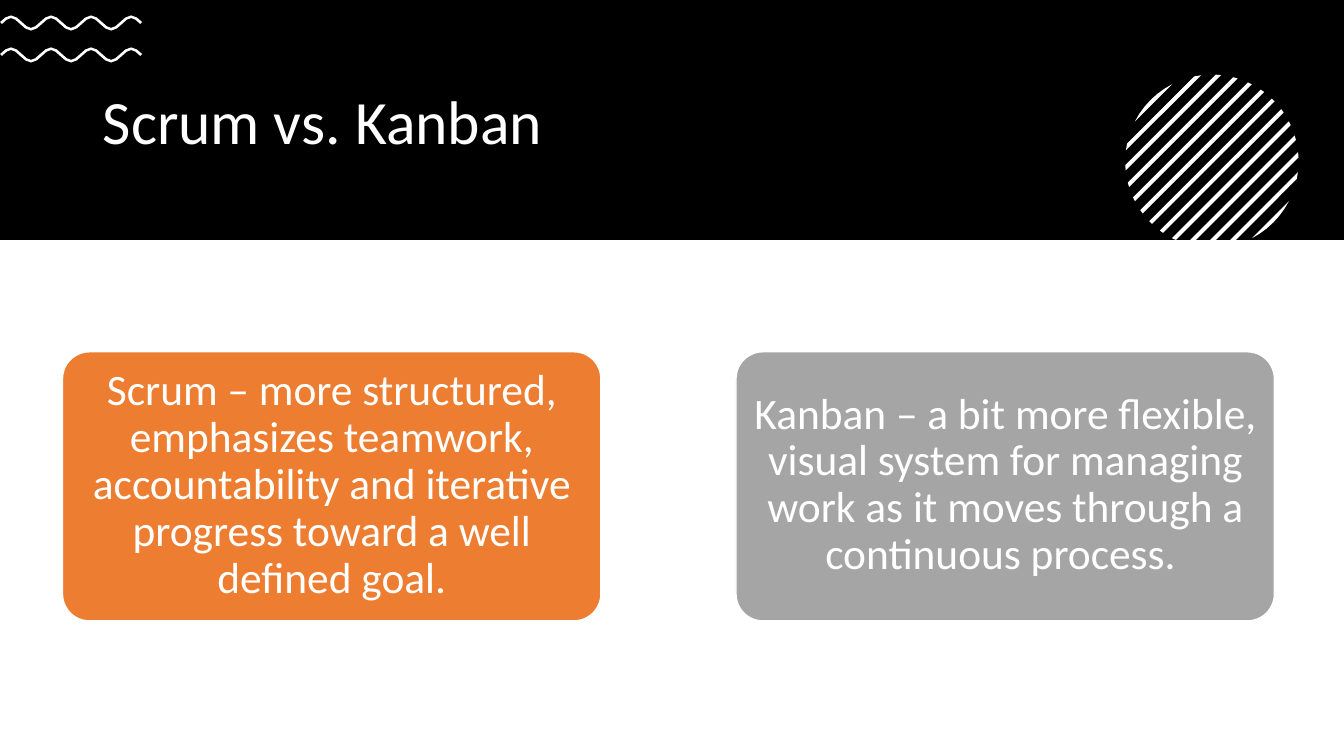
from math import acos, atan, cos, pi, radians, sin
from pptx import Presentation
from pptx.dml.color import RGBColor
from pptx.enum.shapes import MSO_SHAPE as Shape
from pptx.enum.text import MSO_ANCHOR as Anchor, PP_ALIGN as Align
from pptx.util import Inches, Pt

TITLE = "Scrum vs. Kanban"
CARDS = [
    ("Scrum – more structured, emphasizes teamwork, accountability and "
     "iterative progress toward a well defined goal.", "ED7D31"),
    ("Kanban – a bit more flexible, visual system for managing work as it "
     "moves through a continuous process. ", "A5A5A5"),
]
FONT, WHITE, BLACK = "Calibri", "FFFFFF", "000000"
SLIDE_W, SLIDE_H, BAND_H = 13.33, 7.5, 2.38

CARD_LEFT, CARD_TOP, CARD_W, CARD_H, CARD_STEP = 0.62, 3.49, 5.34, 2.67, 6.68
CARD_PAD = 0.075
WAVE_LEFT, WAVE_LENGTH, WAVE_HEIGHT, WAVE_COUNT = 0.01, 1.39, 0.062, 3.5
WAVE_CENTERS, WAVE_WIDTH, WAVE_STEPS = [0.545, 0.228], 0.026, 28
DISC_X, DISC_Y, DISC_R = 12.02, 1.6, 0.86
STRIPE_COUNT, STRIPE_STEP, STRIPE_WIDTH = 13, 0.14, 0.04


def color(value):
    return RGBColor.from_string(value)


def paint(shape, fill, line=None):
    shape.shadow.inherit = False
    shape.fill.solid()
    shape.fill.fore_color.rgb = color(fill)
    if line:
        shape.line.color.rgb = color(line)
        shape.line.width = Pt(1)
    else:
        shape.line.fill.background()


def write(frame, text, size, align):
    frame.word_wrap = True
    frame.vertical_anchor = Anchor.MIDDLE
    para = frame.paragraphs[0]
    para.text = text
    para.alignment = align
    para.line_spacing = 0.9
    para.font.name = FONT
    para.font.size = Pt(size)
    para.font.color.rgb = color(WHITE)


def add_outline(page, points):
    corners = [(Inches(x), Inches(y)) for x, y in points]
    builder = page.shapes.build_freeform(*corners[0])
    builder.add_line_segments(corners[1:], close=True)
    paint(builder.convert_to_shape(), WHITE)


def wave_point(center, step, offset):
    share = step / WAVE_STEPS
    angle = 2 * pi * WAVE_COUNT * share
    slope = atan(-WAVE_HEIGHT * cos(angle) * 2 * pi * WAVE_COUNT / WAVE_LENGTH)
    return (WAVE_LEFT + WAVE_LENGTH * share - offset * sin(slope),
            center - WAVE_HEIGHT * sin(angle) + offset * cos(slope))


def add_wave(page, center):
    half = WAVE_WIDTH / 2
    steps = range(WAVE_STEPS + 1)
    upper = [wave_point(center, step, -half) for step in steps]
    lower = [wave_point(center, step, half) for step in reversed(steps)]
    add_outline(page, upper + lower)


def disc_point(angle):
    x = DISC_X + DISC_R * cos(radians(45) + angle)
    y = DISC_Y + DISC_R * sin(radians(45) + angle)
    overflow = max(0, y - BAND_H)
    return x + overflow, y - overflow


def add_stripe(page, index):
    near = -DISC_R + index * STRIPE_STEP
    far = min(near + STRIPE_WIDTH, DISC_R)
    start, end = acos(near / DISC_R), acos(far / DISC_R)
    steps = 3 if index in (0, STRIPE_COUNT - 1) else 1
    arc = [start + (end - start) * step / steps for step in range(steps + 1)]
    angles = arc + [-angle for angle in reversed(arc)]
    add_outline(page, [disc_point(angle) for angle in angles])


def add_card(page, index, text, fill):
    left = CARD_LEFT + index * CARD_STEP
    card = page.shapes.add_shape(
        Shape.ROUNDED_RECTANGLE, Inches(left), Inches(CARD_TOP),
        Inches(CARD_W), Inches(CARD_H))
    card.adjustments[0] = 0.1
    paint(card, fill, WHITE)
    box = page.shapes.add_textbox(
        Inches(left + CARD_PAD), Inches(CARD_TOP + CARD_PAD - 0.01),
        Inches(CARD_W - 2 * CARD_PAD), Inches(CARD_H - 2 * CARD_PAD))
    frame = box.text_frame
    frame.margin_left = frame.margin_right = Inches(0.06)
    frame.margin_top = frame.margin_bottom = Inches(0.04)
    write(frame, text, 31, Align.CENTER)


def main():
    deck = Presentation()
    deck.slide_width, deck.slide_height = Inches(SLIDE_W), Inches(SLIDE_H)
    page = deck.slides.add_slide(deck.slide_layouts[5])
    band = page.shapes.add_shape(
        Shape.RECTANGLE, 0, 0, Inches(SLIDE_W), Inches(BAND_H))
    paint(band, BLACK)

    title = page.shapes.title
    title.left, title.top = Inches(0.92), Inches(0.62)
    title.width, title.height = Inches(11.5), Inches(1.23)
    write(title.text_frame, TITLE, 44, Align.LEFT)
    band.element.addnext(title.element)

    for center in WAVE_CENTERS:
        add_wave(page, center)
    for index in range(STRIPE_COUNT):
        add_stripe(page, index)
    for index, (text, fill) in enumerate(CARDS):
        add_card(page, index, text, fill)
    deck.save("out.pptx")


if __name__ == "__main__":
    main()
